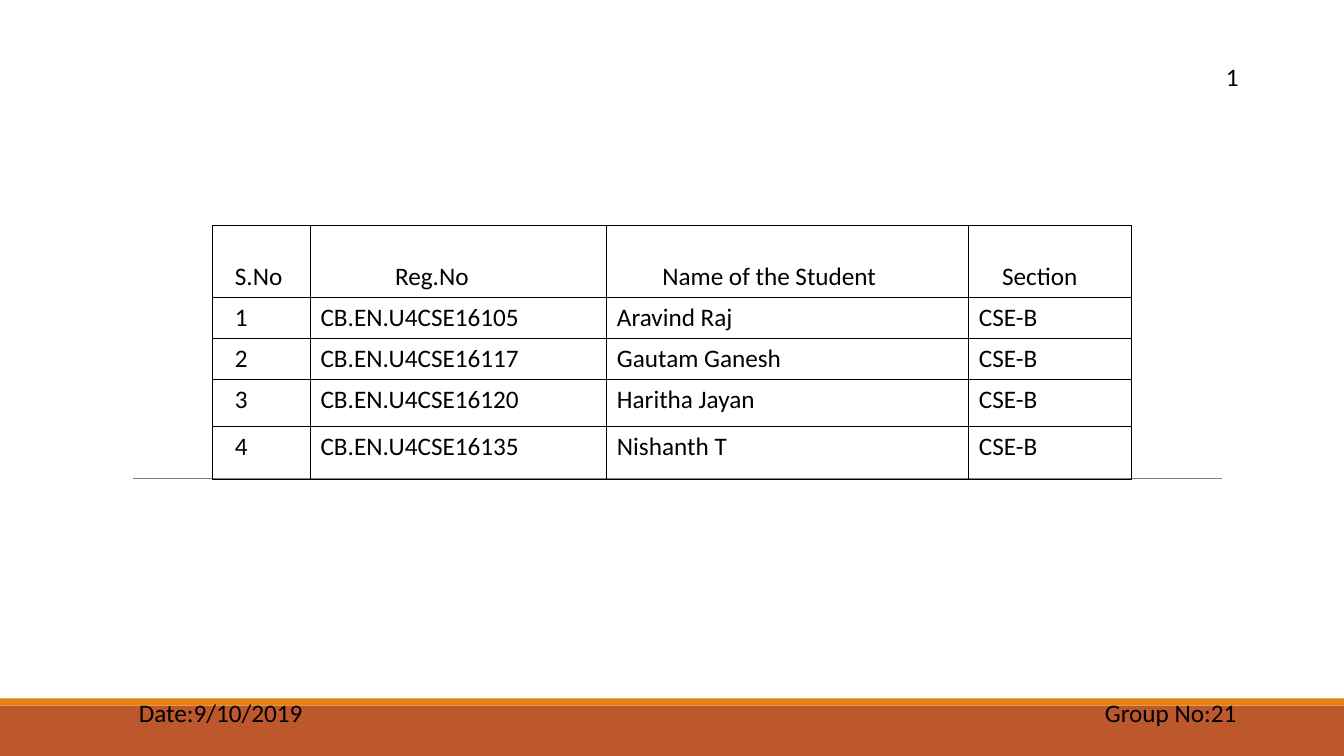
"""Build a project group slide with its student table, date and group number."""
from dataclasses import dataclass

from lxml import etree
from pptx import Presentation
from pptx.dml.color import RGBColor
from pptx.enum.shapes import MSO_CONNECTOR, MSO_SHAPE
from pptx.enum.text import MSO_ANCHOR
from pptx.oxml.ns import qn
from pptx.slide import Slide
from pptx.table import _Cell
from pptx.text.text import _Paragraph
from pptx.util import Inches, Pt

RECTANGLE = MSO_SHAPE.RECTANGLE
STRAIGHT = MSO_CONNECTOR.STRAIGHT
TOP, BOTTOM = MSO_ANCHOR.TOP, MSO_ANCHOR.BOTTOM

RUST = RGBColor(0xBD, 0x58, 0x2C)
ORANGE = RGBColor(0xE4, 0x83, 0x12)
GRAY = RGBColor(0x80, 0x80, 0x80)
BLACK = RGBColor(0, 0, 0)

TEXT_FORMAT = {"name": "Calibri", "size": Pt(18), "bold": False}
SLIDE_WIDTH, SLIDE_HEIGHT = 13.33, 7.5
CELL_MARGIN = 0.1
ROW_HEIGHTS = (0.71, 0.4, 0.4, 0.47, 0.53)


@dataclass(frozen=True)
class Band:
    top: float
    height: float
    color: RGBColor


@dataclass(frozen=True)
class Label:
    text: str
    left: float
    top: float
    width: float


@dataclass(frozen=True)
class Column:
    heading: str
    width: float
    heading_indent: float
    body_indent: float = 0


BANDS = (Band(7, 0.5, RUST), Band(6.93, 0.07, ORANGE))
LABELS = (
    Label("Group No:21", 10.86, 6.87, 1.52),
    Label("Date:9/10/2019", 1.28, 6.87, 1.84),
    Label("1", 12.06, 0.56, 0.33),
)
COLUMNS = (
    Column("S.No", 0.97, 0.12, 0.12),
    Column("Reg.No", 2.94, 0.74),
    Column("Name of the Student", 3.59, 0.45),
    Column("Section", 1.61, 0.23),
)
STUDENTS = (
    ("CB.EN.U4CSE16105", "Aravind Raj"),
    ("CB.EN.U4CSE16117", "Gautam Ganesh"),
    ("CB.EN.U4CSE16120", "Haritha Jayan"),
    ("CB.EN.U4CSE16135", "Nishanth T"),
)
SECTION = "CSE-B"


def write_text(para: _Paragraph, text: str) -> None:
    span = para.add_run()
    span.text = text
    for name, value in TEXT_FORMAT.items():
        setattr(span.font, name, value)
    span.font.color.rgb = BLACK


def add_band(page: Slide, band: Band) -> None:
    shape = page.shapes.add_shape(
        RECTANGLE, 0, Inches(band.top), Inches(SLIDE_WIDTH), Inches(band.height)
    )
    shape.shadow.inherit = False
    shape.fill.solid()
    shape.fill.fore_color.rgb = band.color
    shape.line.fill.background()


def add_rule(page: Slide) -> None:
    rule = page.shapes.add_connector(
        STRAIGHT, Inches(1.32), Inches(4.75), Inches(12.12), Inches(4.75)
    )
    rule.line.color.rgb = GRAY
    rule.line.width = Pt(0.5)
    etree.SubElement(rule._element.spPr, qn("a:effectLst"))


def add_label(page: Slide, label: Label) -> None:
    box = page.shapes.add_textbox(
        Inches(label.left), Inches(label.top), Inches(label.width), Inches(0.4)
    )
    box.text_frame.word_wrap = False
    write_text(box.text_frame.paragraphs[0], label.text)


def add_borders(cell: _Cell) -> None:
    properties = cell._tc.get_or_add_tcPr()
    for side in ("lnL", "lnR", "lnT", "lnB"):
        border = etree.SubElement(properties, qn(f"a:{side}"), w=str(Pt(1)))
        fill = etree.SubElement(border, qn("a:solidFill"))
        etree.SubElement(fill, qn("a:srgbClr"), val=str(BLACK))


def fill_cell(cell: _Cell, text: str, indent: float, anchor: MSO_ANCHOR) -> None:
    add_borders(cell)
    cell.fill.background()
    cell.margin_left = Inches(CELL_MARGIN + indent)
    cell.vertical_anchor = anchor
    write_text(cell.text_frame.paragraphs[0], text)


def add_student_table(page: Slide) -> None:
    width = sum(column.width for column in COLUMNS)
    table = page.shapes.add_table(
        len(ROW_HEIGHTS), len(COLUMNS), Inches(2.11), Inches(2.24),
        Inches(width), Inches(sum(ROW_HEIGHTS)),
    ).table
    table.first_row = table.horz_banding = False
    for row, height in zip(table.rows, ROW_HEIGHTS):
        row.height = Inches(height)
    for index, column in enumerate(COLUMNS):
        table.columns[index].width = Inches(column.width)
        fill_cell(table.cell(0, index), column.heading, column.heading_indent, BOTTOM)
    for number, student in enumerate(STUDENTS, start=1):
        values = (str(number), *student, SECTION)
        for index, (column, value) in enumerate(zip(COLUMNS, values)):
            fill_cell(table.cell(number, index), value, column.body_indent, TOP)


def main() -> None:
    deck = Presentation()
    deck.slide_width = Inches(SLIDE_WIDTH)
    deck.slide_height = Inches(SLIDE_HEIGHT)
    page = deck.slides.add_slide(deck.slide_layouts[6])
    for band in BANDS:
        add_band(page, band)
    add_rule(page)
    add_student_table(page)
    for label in LABELS:
        add_label(page, label)
    deck.save("out.pptx")


if __name__ == "__main__":
    main()
